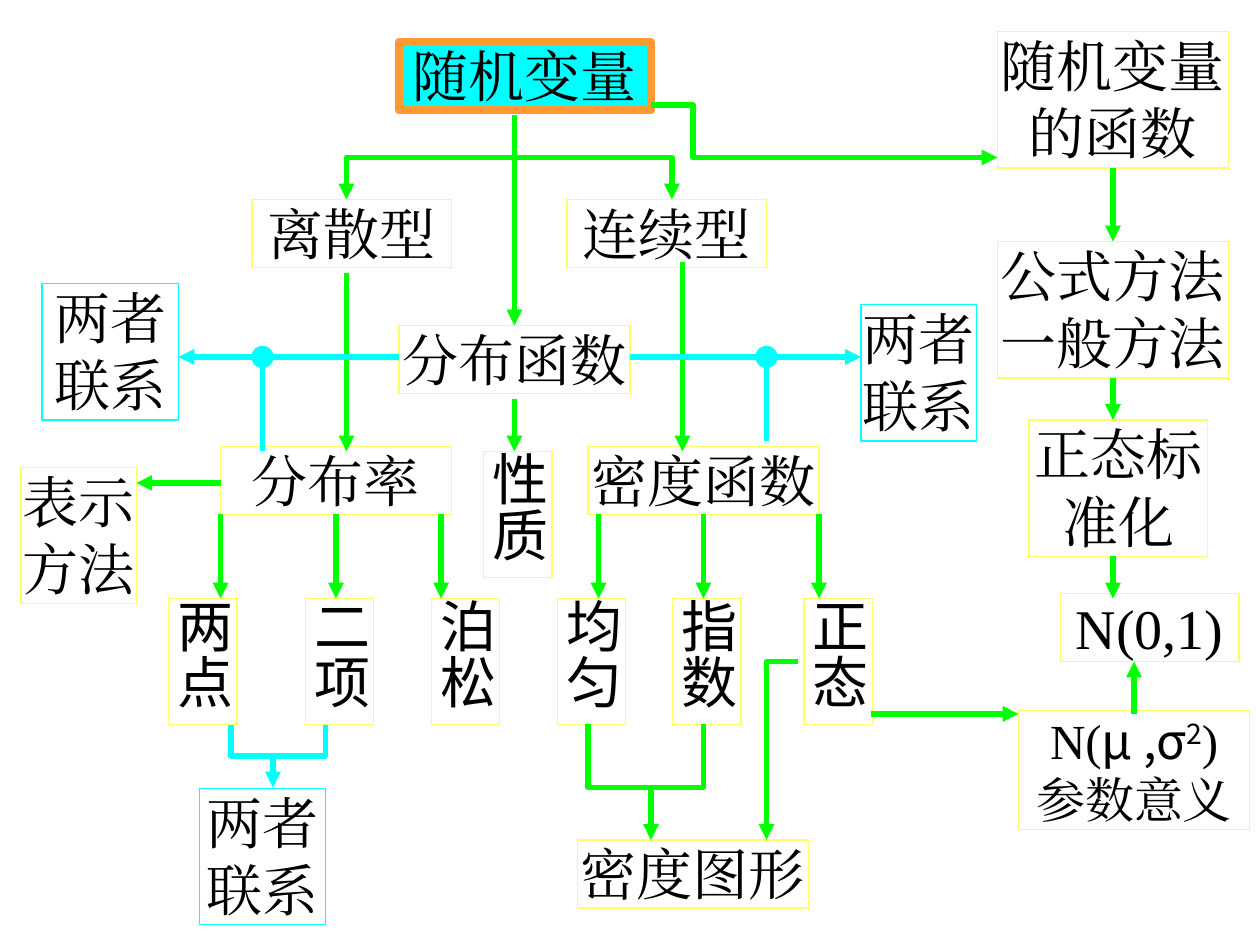
from lxml.etree import SubElement
from pptx import Presentation
from pptx.dml.color import RGBColor
from pptx.enum.shapes import MSO_CONNECTOR, MSO_SHAPE
from pptx.enum.text import MSO_ANCHOR, MSO_AUTO_SIZE, PP_ALIGN
from pptx.oxml.ns import qn
from pptx.util import Pt

COLORS = {
    "text": "000000",
    "box": "FFFF66",
    "flow": "00FF00",
    "relation": "00FFFF",
    "root_line": "FF9933",
}
SERIF = "Times New Roman"
SANS = "Noto Sans CJK SC"
ROW = 39  # height of a box with one line of text

# text, left, top, width, lines of text
CONCEPTS = [
    ("离散型", 144, 114, 114, 1),
    ("连续型", 324, 114, 114, 1),
    ("分布函数", 228, 186, 132, 1),
    ("分布率", 126, 255, 132, 1),
    ("密度函数", 336, 255, 132, 1),
    ("密度图形", 330, 480, 132, 1),
    ("表示方法", 12, 267, 66, 2),
    ("随机变量的函数", 570, 18, 132, 2),
    ("公式方法一般方法", 570, 138, 132, 2),
    ("正态标准化", 588, 240, 102, 2),
    ("N(0,1)", 606, 339, 102, 1),
]
# left, top, width
RELATIONS = [(24, 162, 78), (114, 450.5, 72), (492, 174, 66)]
# text, left, top
VERTICAL_BOXES = [
    ("性质", 276.5, 258),
    ("两点", 96.5, 342),
    ("二项", 174.5, 342),
    ("泊松", 246.5, 342),
    ("均匀", 318.5, 342),
    ("指数", 384.5, 342),
    ("正态", 459.5, 342),
]
FLOW_ARROWS = [
    ((294, 90), (294, 186)),
    ((294, 228), (294, 258)),
    ((198, 156), (198, 258)),
    ((390, 150), (390, 258)),
    ((126, 276), (78, 276)),
    ((372, 450), (372, 480)),
    ((498, 408), (582, 408)),
    ((648, 408), (648, 378)),
    ((636, 96), (636, 138)),
    ((636, 216), (636, 240)),
    ((636, 318), (636, 342)),
] + [((x, 294), (x, 342)) for x in (126, 192, 252, 342, 402, 468)]
RELATION_ARROWS = [
    ((228, 204), (102, 204)),
    ((360, 204), (492, 204)),
    ((156, 432), (156, 450)),
]


def color(name):
    return RGBColor.from_string(COLORS[name])


def style_line(shape, color_name, width, head=False, tail=False):
    """Set the outline, with arrowheads at its start (head) or end (tail)."""
    shape.line.color.rgb = color(color_name)
    shape.line.width = Pt(width)
    line = shape.line._get_or_add_ln()
    for tag, wanted in (("a:headEnd", head), ("a:tailEnd", tail)):
        if wanted:
            SubElement(line, qn(tag)).set("type", "triangle")


def style_run(run, size, font):
    run.font.size = Pt(size)
    run.font.color.rgb = color("text")
    run.font.name = font
    SubElement(run._r.get_or_add_rPr(), qn("a:ea")).set("typeface", font)


def add_box(slide, text, left, top, width, height, line="box",
            line_width=0.75, fill=None, size=32, font=SERIF):
    shape = slide.shapes.add_shape(
        MSO_SHAPE.RECTANGLE, Pt(left), Pt(top), Pt(width), Pt(height))
    shape.shadow.inherit = False
    if fill:
        shape.fill.solid()
        shape.fill.fore_color.rgb = color(fill)
    else:
        shape.fill.background()
    style_line(shape, line, line_width)
    frame = shape.text_frame
    frame.text = text
    frame.margin_left = frame.margin_right = 0
    frame.margin_top = frame.margin_bottom = 0
    frame.word_wrap = True
    frame.auto_size = MSO_AUTO_SIZE.SHAPE_TO_FIT_TEXT
    frame.vertical_anchor = MSO_ANCHOR.TOP
    for paragraph in frame.paragraphs:
        paragraph.alignment = PP_ALIGN.CENTER
        for run in paragraph.runs:
            style_run(run, size, font)
    return shape


def add_vertical_box(slide, text, left, top):
    shape = add_box(slide, text, left, top, ROW, 72, font=SANS)
    shape.text_frame._txBody.bodyPr.set("vert", "eaVert")
    return shape


def add_parameter_box(slide):
    shape = add_box(slide, "\n参数意义", 582, 406, 132, 68, size=28)
    formula = shape.text_frame.paragraphs[0]
    for text, font in (("N(", SERIF), ("μ ,σ", SANS), ("2", SANS), (")", SERIF)):
        run = formula.add_run()
        run.text = text
        style_run(run, 28, font)
        if text == "2":
            run._r.get_or_add_rPr().set("baseline", "30000")
    return shape


def find_side(boxes, point):
    """Return the box and side whose middle lies at the point, if any."""
    x, y = Pt(point[0]), Pt(point[1])
    for box in boxes:
        middle_x, middle_y = box.left + box.width / 2, box.top + box.height / 2
        middles = [(middle_x, box.top), (box.left, middle_y),
                   (middle_x, box.top + box.height),
                   (box.left + box.width, middle_y)]
        for side, (side_x, side_y) in enumerate(middles):
            if max(abs(side_x - x), abs(side_y - y)) < Pt(0.5):
                return box, side
    return None


def add_line(slide, boxes, start, end, color_name, arrow=True):
    connector = slide.shapes.add_connector(
        MSO_CONNECTOR.STRAIGHT, *(Pt(value) for value in start + end))
    SubElement(connector._element.spPr, qn("a:effectLst"))
    style_line(connector, color_name, 3, tail=arrow)
    for point, connect in ((start, connector.begin_connect),
                           (end, connector.end_connect)):
        joint = find_side(boxes, point)
        if joint:
            connect(*joint)


def add_bent_line(slide, points, color_name, head=False, tail=False):
    start, *others = [(Pt(x), Pt(y)) for x, y in points]
    builder = slide.shapes.build_freeform(*start)
    builder.add_line_segments(others, close=False)
    shape = builder.convert_to_shape()
    shape.shadow.inherit = False
    shape.fill.background()
    style_line(shape, color_name, 3, head, tail)


def add_dot(slide, left, top):
    dot = slide.shapes.add_shape(
        MSO_SHAPE.OVAL, Pt(left), Pt(top), Pt(12), Pt(12))
    dot.shadow.inherit = False
    dot.fill.solid()
    dot.fill.fore_color.rgb = color("relation")
    style_line(dot, "relation", 0.75)


def main():
    presentation = Presentation()
    presentation.slide_width, presentation.slide_height = Pt(720), Pt(540)
    slide = presentation.slides.add_slide(presentation.slide_layouts[6])

    boxes = [add_box(slide, "随机变量", 228, 24, 144, ROW, line="root_line",
                     line_width=4.5, fill="relation")]
    for text, left, top, width, lines in CONCEPTS:
        boxes.append(add_box(slide, text, left, top, width, lines * ROW))
    for left, top, width in RELATIONS:
        boxes.append(add_box(slide, "两者联系", left, top, width, 2 * ROW,
                             line="relation"))
    for vertical_box in VERTICAL_BOXES:
        boxes.append(add_vertical_box(slide, *vertical_box))
    boxes.append(add_parameter_box(slide))

    add_line(slide, boxes, (294, 66), (294, 90), "flow", arrow=False)
    for start, end in FLOW_ARROWS:
        add_line(slide, boxes, start, end, "flow")
    for start, end in RELATION_ARROWS:
        add_line(slide, boxes, start, end, "relation")
    for x, bottom in ((150, 258), (438, 252)):
        add_line(slide, boxes, (x, bottom), (x, 204), "relation", arrow=False)
        add_dot(slide, x - 6, 198)

    add_bent_line(slide, [(198, 114), (198, 90), (384, 90), (384, 114)],
                  "flow", head=True, tail=True)
    add_bent_line(slide, [(372, 60), (396, 60), (396, 90), (570, 90)],
                  "flow", tail=True)
    add_bent_line(slide, [(456, 378), (438, 378), (438, 480)], "flow", tail=True)
    add_bent_line(slide, [(336, 414), (336, 450), (402, 450), (402, 414)], "flow")
    add_bent_line(slide, [(132, 414), (132, 432), (186, 432), (186, 414)],
                  "relation")
    presentation.save("out.pptx")


if __name__ == "__main__":
    main()
